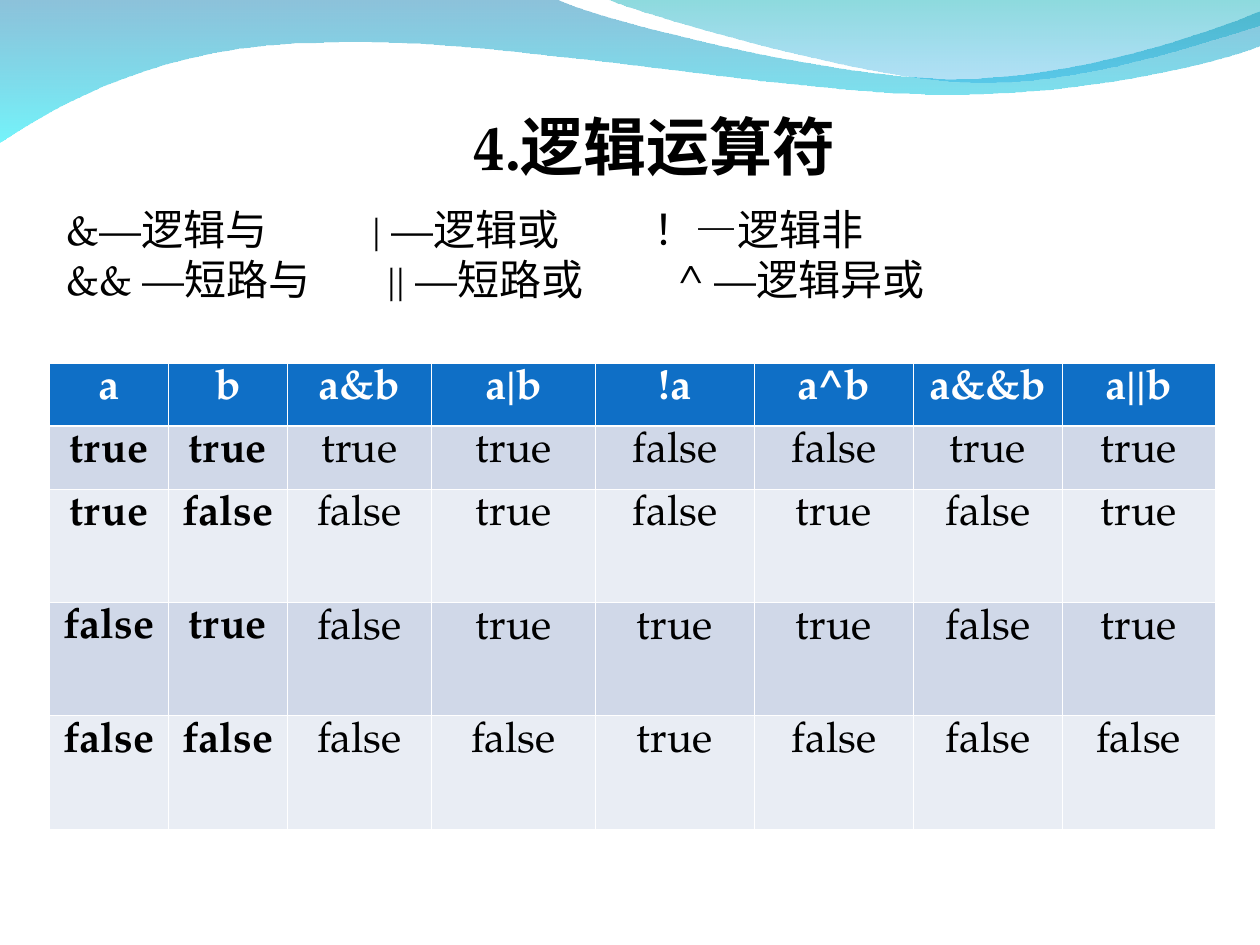
from lxml import etree
from pptx import Presentation
from pptx.dml.color import RGBColor
from pptx.enum.text import MSO_ANCHOR, MSO_AUTO_SIZE, PP_ALIGN
from pptx.oxml.ns import qn
from pptx.util import Pt

FONT = "TeX Gyre Pagella"
BLACK = RGBColor(0x00, 0x00, 0x00)
WHITE = RGBColor(0xFF, 0xFF, 0xFF)
HEADER_BLUE = RGBColor(0x0F, 0x6F, 0xC6)
BAND_DARK = RGBColor(0xD0, 0xD8, 0xE8)
BAND_LIGHT = RGBColor(0xE9, 0xED, 0xF4)
WAVE_NAVY = RGBColor(0x00, 0x79, 0xAF)
WAVE_CYAN = RGBColor(0x00, 0xEB, 0xF8)
WAVE_TEAL = RGBColor(0x00, 0xAD, 0xB6)
WAVE_SKY = RGBColor(0x00, 0x9B, 0xE5)

# Each step is one point for a line, or three points for a Bezier curve.
LEFT_WAVE = [
    [(0, 0)],
    [(318.5, 0)],
    [(343, 12), (478, 45), (546, 45)],
    [(614, 45), (690, 19), (720, 6.5)],
    [(720, 26)],
    [(708, 32), (626, 55), (537, 54)],
    [(448, 54), (275, 20), (185, 24.5)],
    [(93, 25), (33, 60), (0, 81.4)],
]
RIGHT_WAVE = [
    [(347, 0)],
    [(366, 8), (491, 45), (554, 47)],
    [(616, 50), (692, 23), (720, 15)],
    [(720, 0)],
]

OPERATORS = [
    (["&—逻辑与", "| —逻辑或", "！—逻辑非"], (174.5, 335.5)),
    (["&& —短路与", "|| —短路或", "^ —逻辑异或"], (183.2, 349.7)),
]

EXPRESSIONS = ["a", "b", "a&b", "a|b", "!a", "a^b", "a&&b", "a||b"]
COLUMN_WIDTHS = [68, 68, 82.3, 93.8, 90.8, 90.8, 85.2, 87.2]
ROW_HEIGHTS = [36, 36, 64.8, 64.8, 64.8]


def format_font(font, **values):
    color = values.pop("color", BLACK)
    for name, value in {"name": FONT, "size": Pt(24), **values}.items():
        setattr(font, name, value)
    font.color.rgb = color


def bend_outline(wave, steps):
    """Turn the lines through each curve's three points into one curve."""
    lines = wave._element.iter(qn("a:lnTo"))
    for step in steps[1:]:
        first, *others = [next(lines) for _ in step]
        if others:
            first.addprevious(curve := etree.Element(qn("a:cubicBezTo")))
            for line in (first, *others):
                curve.append(line[0])
                line.getparent().remove(line)


def add_wave(slide, steps, stops):
    """Draw a wave; stops are (colour, opacity in percent), top to bottom."""
    start, *others = [(Pt(x), Pt(y)) for step in steps for x, y in step]
    builder = slide.shapes.build_freeform(*start)
    builder.add_line_segments(others, close=True)
    wave = builder.convert_to_shape()
    lines = list(wave._element.iter(qn("a:lnTo")))
    if len(lines) > len(others):
        lines[-1].getparent().remove(lines[-1])
    bend_outline_from(lines, steps)
    wave.shadow.inherit = False
    wave.line.fill.background()
    wave.fill.gradient()
    wave.fill.gradient_angle = 270
    for position, stop, (color, opacity) in zip(
            (0, 1), wave.fill.gradient_stops, stops):
        stop.position = position
        stop.color.rgb = color
    gradient = wave._element.spPr.find(qn("a:gradFill"))
    for color_node, (_, opacity) in zip(gradient.iter(qn("a:srgbClr")), stops):
        etree.SubElement(color_node, qn("a:alpha"), val=str(opacity * 1000))


def bend_outline_from(lines, steps):
    """Turn the lines through each curve's three points into one curve."""
    remaining = iter(lines)
    for step in steps[1:]:
        parts = [next(remaining) for _ in step]
        if len(parts) == 3:
            curve = etree.Element(qn("a:cubicBezTo"))
            parts[0].addprevious(curve)
            for part in parts:
                curve.append(part[0])
                part.getparent().remove(part)


def place_title(slide):
    title = slide.shapes.title
    for name, value in {"left": 218.2, "top": 57.6,
                        "width": 311.8, "height": 54.7}.items():
        setattr(title, name, Pt(value))
    frame = title.text_frame
    frame.text = "4.逻辑运算符"
    frame.auto_size = MSO_AUTO_SIZE.NONE
    frame.vertical_anchor = MSO_ANCHOR.TOP
    heading = frame.paragraphs[0]
    heading.alignment = PP_ALIGN.CENTER
    format_font(heading.runs[0].font, size=Pt(36), bold=True)


def add_operators(slide):
    box = slide.shapes.add_textbox(Pt(31), Pt(112.6), Pt(646.6), Pt(64.8))
    frame = box.text_frame
    frame.word_wrap = True
    for index, (entries, stops) in enumerate(OPERATORS):
        line = frame.add_paragraph() if index else frame.paragraphs[0]
        tabs = etree.SubElement(line._p.get_or_add_pPr(), qn("a:tabLst"))
        for stop in stops:
            etree.SubElement(tabs, qn("a:tab"), pos=str(Pt(stop)), algn="l")
        run = line.add_run()
        run.text = "\t".join(entries)
        format_font(run.font)


def set_borders(cell, widths):
    properties = cell._tc.get_or_add_tcPr()
    for index, (side, width) in enumerate(widths.items()):
        border = etree.Element(qn(f"a:ln{side}"), w=str(Pt(width)))
        fill = etree.SubElement(border, qn("a:solidFill"))
        etree.SubElement(fill, qn("a:srgbClr"), val=str(WHITE))
        properties.insert(index, border)


def truth_rows():
    for a in (True, False):
        for b in (True, False):
            values = [a, b, a & b, a | b, not a, a ^ b, a and b, a or b]
            yield [str(value).lower() for value in values]


def add_truth_table(slide):
    rows = [EXPRESSIONS, *truth_rows()]
    table = slide.shapes.add_table(
        len(rows), len(EXPRESSIONS), Pt(28.3), Pt(207.4),
        Pt(sum(COLUMN_WIDTHS)), Pt(sum(ROW_HEIGHTS))).table
    for column, width in zip(table.columns, COLUMN_WIDTHS):
        column.width = Pt(width)
    for row, height in zip(table.rows, ROW_HEIGHTS):
        row.height = Pt(height)
    for r, values in enumerate(rows):
        header = r == 0
        band = BAND_DARK if r % 2 else BAND_LIGHT
        for c, value in enumerate(values):
            cell = table.cell(r, c)
            cell.text = value
            cell.fill.solid()
            cell.fill.fore_color.rgb = HEADER_BLUE if header else band
            set_borders(cell, {"L": 0.45, "R": 0.45,
                               "T": 1.47 if r == 1 else 0.45,
                               "B": 1.47 if header else 0.45})
            entry = cell.text_frame.paragraphs[0]
            entry.alignment = PP_ALIGN.CENTER
            format_font(entry.runs[0].font, bold=header or c < 2,
                        color=WHITE if header else BLACK)


def main():
    presentation = Presentation()
    presentation.slide_width, presentation.slide_height = Pt(720), Pt(540)
    slide = presentation.slides.add_slide(presentation.slide_layouts[5])
    add_wave(slide, LEFT_WAVE, [(WAVE_NAVY, 45), (WAVE_CYAN, 55)])
    add_wave(slide, RIGHT_WAVE, [(WAVE_TEAL, 45), (WAVE_SKY, 30)])
    add_truth_table(slide)
    add_operators(slide)
    place_title(slide)
    presentation.save("out.pptx")


if __name__ == "__main__":
    main()
